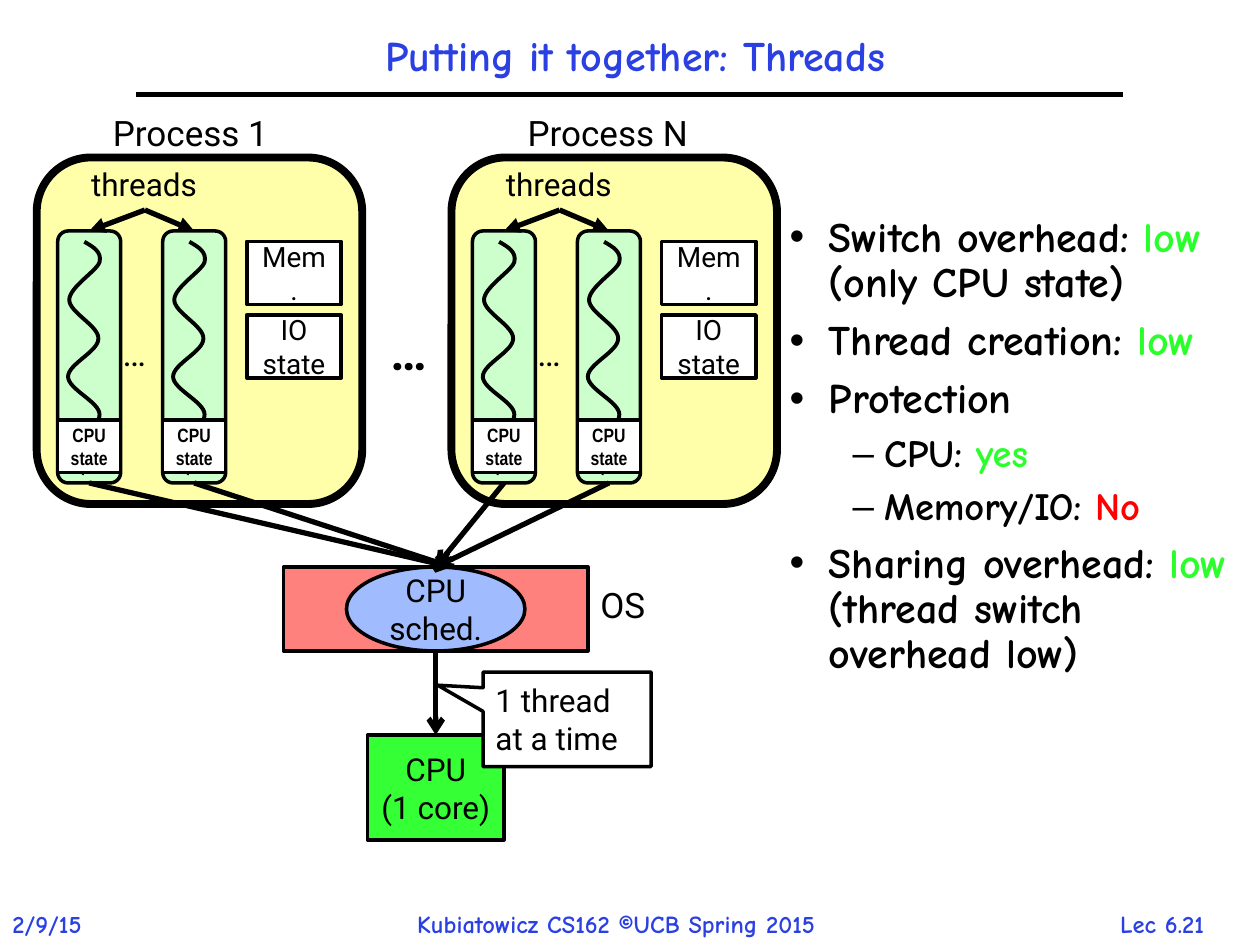
"""Build a slide on threads that share one scheduler and one core."""
from lxml.etree import SubElement
from pptx import Presentation
from pptx.dml.color import RGBColor
from pptx.enum.shapes import MSO_CONNECTOR, MSO_SHAPE
from pptx.enum.text import MSO_ANCHOR, MSO_AUTO_SIZE, PP_ALIGN
from pptx.oxml.ns import qn
from pptx.util import Pt

BLACK = RGBColor(0, 0, 0)
WHITE = RGBColor(255, 255, 255)
BLUE = RGBColor(0x2A, 0x40, 0xE2)
LIME = RGBColor(0x2B, 0xFF, 0x2B)
RED = RGBColor(255, 0, 0)
ROSE = RGBColor(0xFF, 0x81, 0x7E)
SKY = RGBColor(0xA0, 0xBC, 0xFE)
GREEN = RGBColor(0x35, 0xFF, 0x35)
CREAM = RGBColor(0xFF, 0xFF, 0xAA)
MINT = RGBColor(0xCC, 0xFF, 0xCC)

COMIC, ROBOTO, NARROW = "Comic Neue", "Roboto", "Arial Narrow"

TITLE = "Putting it together: Threads"
FOOTER = [
    ("2/9/15", 0, 63, PP_ALIGN.LEFT),
    ("Kubiatowicz CS162 ©UCB Spring 2015", 231.3, 278.5, PP_ALIGN.LEFT),
    ("Lec 6.21", 620.6, 87, PP_ALIGN.CENTER),
]
POINTS = [
    (0, [("Switch overhead: ", BLACK), ("low ", LIME), ("(only CPU state)", BLACK)]),
    (0, [("Thread creation: ", BLACK), ("low", LIME)]),
    (0, [("Protection", BLACK)]),
    (1, [("CPU: ", BLACK), ("yes", LIME)]),
    (1, [("Memory/IO: ", BLACK), ("No", RED)]),
    (0, [("Sharing overhead: ", BLACK), ("low", LIME),
         (" (thread switch overhead low)", BLACK)]),
]
LEVELS = [(24, 22.5, 22.5, "•"), (22, 54, 18, "–")]
TASKS = [("Process 1", 21, 57.4, 104.4, 258), ("Process N", 258, 294.4, 108, 249)]
LANES = (12, 72)
STORES = [(["IO", "state"], 180), (["Mem."], 138)]
START = (15.2, 6.2)
CURVES = [
    ((20.3, 9.1), (25.3, 12), (23.9, 17.8)),
    ((22.4, 22.8), (6.6, 32.2), (6.6, 39.4)),
    ((6.6, 46.6), (23.9, 54.5), (23.2, 61.7)),
    ((23.2, 68.9), (5.9, 76.1), (5.9, 83.3)),
    ((5.9, 90.5), (23.9, 97.7), (23.9, 104.9)),
    ((23.9, 112.8), (8.8, 122.2), (7.3, 127.2)),
    ((5.2, 133), (15.2, 138.7), (15.2, 138.7)),
]


def add_run(para, text, size, font, color=BLACK, bold=False):
    run = para.add_run()
    run.text = text
    run.font.size, run.font.name, run.font.bold = Pt(size), font, bold
    run.font.color.rgb = color


def place(shape, box):
    shape.left, shape.top, shape.width, shape.height = map(Pt, box)


def label(shapes, text, box, size, font=ROBOTO, color=BLACK, bold=False,
          align=PP_ALIGN.LEFT):
    area = shapes.add_textbox(*map(Pt, box))
    area.text_frame.word_wrap = False
    para = area.text_frame.paragraphs[0]
    para.alignment = align
    add_run(para, text, size, font, color, bold)


def block(shapes, kind, box, fill, lines=(), size=18, font=ROBOTO,
          bold=False, align=PP_ALIGN.CENTER, width=2):
    shape = shapes.add_shape(kind, *map(Pt, box))
    shape.shadow.inherit = False
    shape.fill.solid()
    shape.fill.fore_color.rgb = fill
    shape.line.color.rgb = BLACK
    shape.line.width = Pt(width)
    frame = shape.text_frame
    frame.word_wrap = True
    frame.vertical_anchor = MSO_ANCHOR.MIDDLE
    for i, line in enumerate(lines):
        para = frame.add_paragraph() if i else frame.paragraphs[0]
        para.alignment = align
        add_run(para, line, size, font, BLACK, bold)
    return shape


def link(shapes, start, end, head=None):
    line = shapes.add_connector(MSO_CONNECTOR.STRAIGHT, 0, 0, 0, 0)
    if isinstance(start[0], (int, float)):
        line.begin_x, line.begin_y = map(Pt, start)
    else:
        line.begin_connect(*start)
    if isinstance(end[0], (int, float)):
        line.end_x, line.end_y = map(Pt, end)
    else:
        line.end_connect(*end)
    line.line.color.rgb = BLACK
    line.line.width = Pt(3)
    props = line.element.spPr
    if head:
        SubElement(props.find(qn("a:ln")), qn("a:tailEnd"), type=head)
    SubElement(props, qn("a:effectLst"))


def add_wave(shapes, left, top):
    def spot(knot):
        return Pt(left + knot[0]), Pt(top + knot[1])

    pen = shapes.build_freeform(*spot(START))
    pen.add_line_segments([spot(curve[-1]) for curve in CURVES], close=False)
    wave = pen.convert_to_shape()
    wave.shadow.inherit = False
    wave.fill.background()
    wave.line.color.rgb = BLACK
    wave.line.width = Pt(2.25)
    parts = list(wave.element.iter(qn("a:lnTo")))
    for part, curve in zip(parts, CURVES):
        part.tag
        bend = SubElement(part.getparent(), qn("a:cubicBezTo"))
        for x, y in map(spot, curve):
            SubElement(bend, qn("a:pt"), x=str(x - wave.left), y=str(y - wave.top))
        part.getparent().remove(part)


def add_thread(shapes, left, top):
    group = shapes.add_group_shape().shapes
    lane = block(group, MSO_SHAPE.ROUNDED_RECTANGLE, (left, top, 36, 144), MINT)
    add_wave(group, left, top)
    return lane


def add_task(shapes, name, left, start, width):
    label(shapes, name, (start, 60, width, 31.5), 20)
    block(shapes, MSO_SHAPE.ROUNDED_RECTANGLE, (left, 90, 186, 198), CREAM, width=4.5)
    for lines, top in STORES:
        block(shapes, MSO_SHAPE.RECTANGLE, (left + 120, top, 54, 36), WHITE, lines, 16)
    lanes = [add_thread(shapes, left + gap, 132) for gap in LANES]
    label(shapes, "…", (left + 42, 186, 34.5, 31.5), 20)
    label(shapes, "threads", (left + 24, 91, 75, 29), 18)
    for lane in lanes:
        link(shapes, (left + 61.8, 120), (lane, 0), "triangle")
    return lanes


def add_points(body):
    place(body, (444, 120, 282, 306))
    frame = body.text_frame
    frame.auto_size = MSO_AUTO_SIZE.NONE
    for i, (level, runs) in enumerate(POINTS):
        size, margin, hang, mark = LEVELS[level]
        para = frame.add_paragraph() if i else frame.paragraphs[0]
        para.level = level
        para.line_spacing = 0.9
        para.space_before = Pt(size * 0.3)
        props = para._p.get_or_add_pPr()
        props.set("marL", str(Pt(margin)))
        props.set("indent", str(-Pt(hang)))
        SubElement(props, qn("a:buChar"), char=mark)
        for text, color in runs:
            add_run(para, text, size, COMIC, color, True)


def main():
    deck = Presentation()
    deck.slide_width, deck.slide_height = Pt(720), Pt(540)
    slide = deck.slides.add_slide(deck.slide_layouts[1])
    shapes = slide.shapes

    place(shapes.title, (24, 12, 678, 42))
    frame = shapes.title.text_frame
    frame.auto_size = MSO_AUTO_SIZE.NONE
    frame.vertical_anchor = MSO_ANCHOR.MIDDLE
    para = frame.paragraphs[0]
    para.alignment, para.line_spacing = PP_ALIGN.CENTER, 0.9
    add_run(para, TITLE, 24, COMIC, BLUE, True)
    add_points(slide.placeholders[1])

    for text, left, width, align in FOOTER:
        label(shapes, text, (left, 515.8, width, 24), 14, COMIC, BLUE, True, align)
    link(shapes, (78, 54), (642, 54))

    system = block(shapes, MSO_SHAPE.RECTANGLE, (162, 324, 174, 48), ROSE)
    block(shapes, MSO_SHAPE.OVAL, (198, 324, 102, 48), SKY, ["CPU sched."])
    label(shapes, "OS", (336, 330, 44, 31.5), 20)
    core = block(shapes, MSO_SHAPE.RECTANGLE, (210, 420, 78, 60), GREEN,
                 ["CPU", "(1 core)"])
    link(shapes, (system, 2), (core, 0), "arrow")
    note = block(shapes, MSO_SHAPE.RECTANGULAR_CALLOUT, (276, 384, 96, 54), WHITE,
                 ["1 thread at a time"], align=PP_ALIGN.LEFT)
    note.adjustments[0], note.adjustments[1] = -0.77, -0.36

    ends = []
    for name, left, start, width, goal in TASKS:
        lanes = add_task(shapes, name, left, start, width)
        ends += [(lane, goal) for lane in lanes]
    label(shapes, "…", (216, 180, 43, 41), 28, bold=True)
    for lane, goal in ends:
        link(shapes, (lane, 2), (goal, 324), "arrow")
    for task in TASKS:
        for gap in LANES:
            block(shapes, MSO_SHAPE.RECTANGLE, (task[1] + gap, 240, 36, 30), WHITE,
                  ["CPU", "state"], 11, NARROW, True)
    deck.save("out.pptx")


if __name__ == "__main__":
    main()
